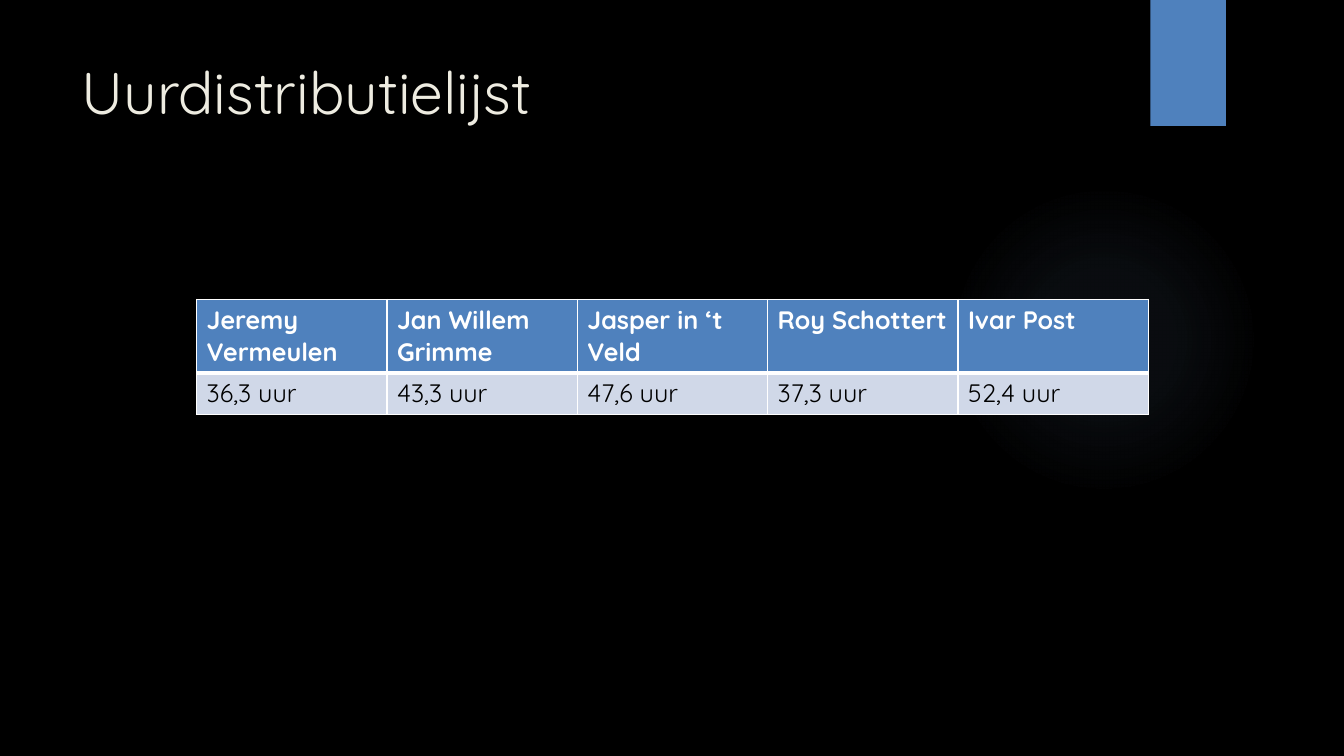
"""Build the slide with the table of hours worked per person."""
from pptx import Presentation
from pptx import util as u
from pptx.dml.color import RGBColor
from pptx.enum import shapes, text
from pptx.oxml import parse_xml

NS = 'xmlns:a="http://schemas.openxmlformats.org/drawingml/2006/main"'
BLUE, PALE, WHITE, BLACK = "4F81BD", "D0D8E8", "FFFFFF", "000000"


def color(target, value):
    target.solid()
    target.fore_color.rgb = RGBColor.from_string(value)


def style(p, size, value, bold=False):
    p.font.name = "Quicksand"
    p.font.size = u.Pt(size)
    p.font.bold = bold
    color(p.font.fill, value)


hours = {
    "Jeremy Vermeulen": "36,3 uur",
    "Jan Willem Grimme": "43,3 uur",
    "Jasper in ‘t Veld": "47,6 uur",
    "Roy Schottert": "37,3 uur",
    "Ivar Post": "52,4 uur",
}

prs = Presentation()
prs.slide_width, prs.slide_height = u.Inches(13.33), u.Inches(7.5)
s = prs.slides.add_slide(prs.slide_layouts[5])
color(s.background.fill, BLACK)

glow = s.shapes.add_shape(shapes.MSO_SHAPE.OVAL, u.Inches(9.41), u.Inches(1.83), u.Inches(3.08), u.Inches(3.08))
stops = "".join(
    f'<a:gs pos="{pos * 1000}"><a:srgbClr val="8EB4E3"><a:alpha val="{alpha * 1000}"/></a:srgbClr></a:gs>'
    for pos, alpha in [(0, 7), (36, 6), (69, 0)]
)
glow._element.spPr.insert(2, parse_xml(
    f'<a:gradFill {NS}><a:gsLst>{stops}</a:gsLst><a:path path="circle">'
    '<a:fillToRect l="50000" t="50000" r="50000" b="50000"/></a:path></a:gradFill>'
))
tab = s.shapes.add_shape(shapes.MSO_SHAPE.RECTANGLE, u.Inches(11.41), 0, u.Inches(0.75), u.Inches(1.25))
color(tab.fill, BLUE)
for sp in (glow, tab):
    sp.line.fill.background()
    sp.shadow.inherit = False

title = s.shapes.title
title.left, title.top, title.width, title.height = (u.Inches(n) for n in (0.71, 0.5, 10.29, 1.53))
tf = title.text_frame
tf.text = "Uurdistributielijst"
tf.vertical_anchor = text.MSO_ANCHOR.TOP
p = tf.paragraphs[0]
p.alignment = text.PP_ALIGN.LEFT
style(p, 42, "EEECE1")

table = s.shapes.add_table(2, len(hours), u.Inches(1.95), u.Inches(2.97), u.Inches(9.44), u.Inches(1.11)).table
for row, height in zip(table.rows, (0.71, 0.41)):
    row.height = u.Inches(height)
for c, pair in enumerate(hours.items()):
    for r, value in enumerate(pair):
        header = r == 0
        cell = table.cell(r, c)
        cell.text = value
        color(cell.fill, BLUE if header else PALE)
        style(cell.text_frame.paragraphs[0], 18, WHITE if header else BLACK, header)
        divider = "B" if header else "T"
        for i, side in enumerate("LRTB"):
            width = u.Pt(3 if side == divider else 1)
            cell._tc.tcPr.insert(i, parse_xml(
                f'<a:ln{side} {NS} w="{width}"><a:solidFill><a:srgbClr val="{WHITE}"/></a:solidFill></a:ln{side}>'
            ))

prs.save("out.pptx")
